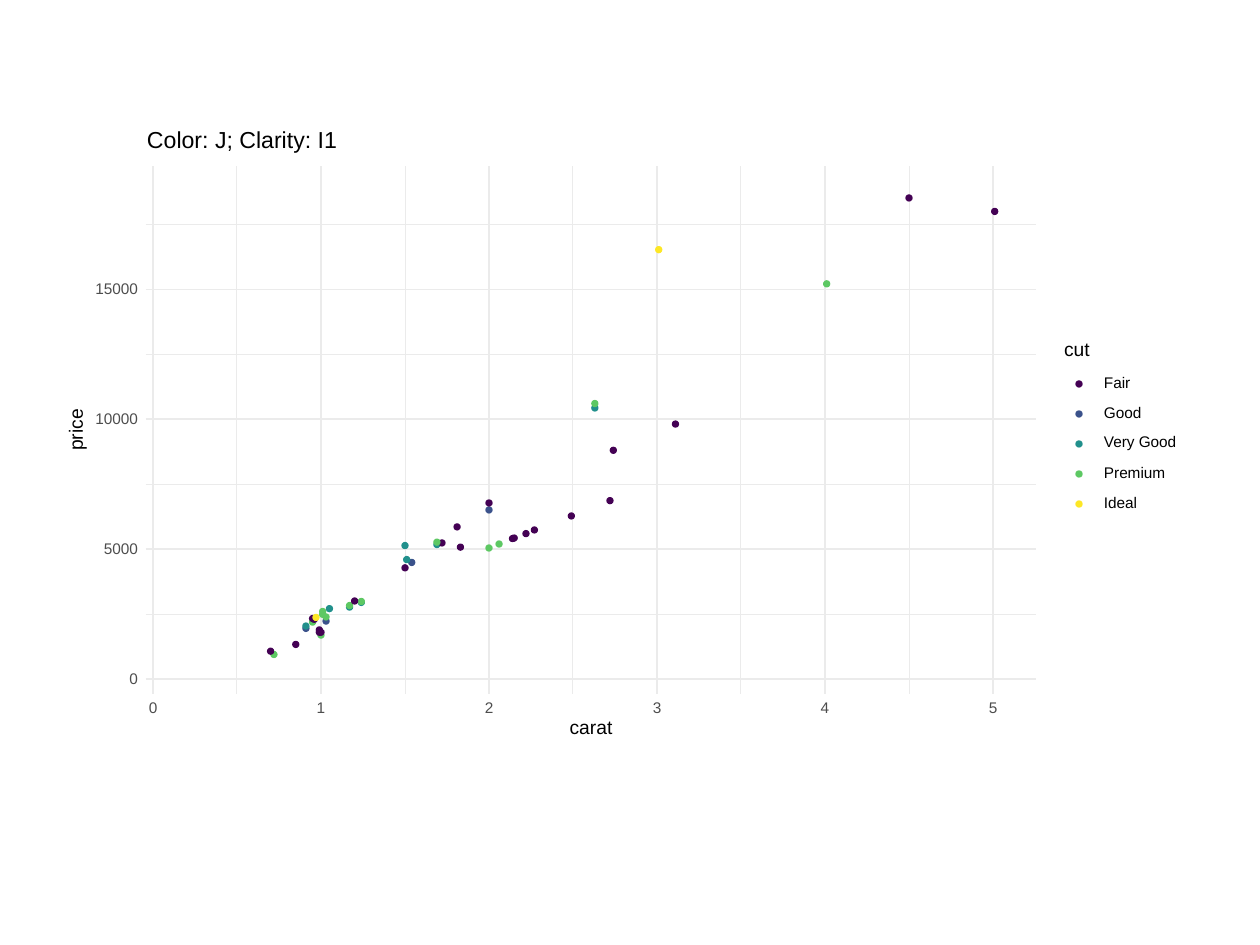
from lxml import etree
from pptx import Presentation
from pptx.dml.color import RGBColor
from pptx.enum.shapes import MSO_CONNECTOR, MSO_SHAPE
from pptx.enum.text import MSO_ANCHOR, PP_ALIGN
from pptx.oxml.ns import qn
from pptx.util import Emu, Pt

LINE, OVAL, RECT = MSO_CONNECTOR.STRAIGHT, MSO_SHAPE.OVAL, MSO_SHAPE.RECTANGLE
MIDDLE = MSO_ANCHOR.MIDDLE
LEFT, CENTER, RIGHT = PP_ALIGN.LEFT, PP_ALIGN.CENTER, PP_ALIGN.RIGHT

# Content
FONT = "Arial"
BLACK, GREY, GRID, WHITE = "000000", "4D4D4D", "EBEBEB", "FFFFFF"
TITLE = "Color: J; Clarity: I1"
CUT_COLORS = {"Fair": "440154", "Good": "3B528B", "Very Good": "21908C",
              "Premium": "5DC863", "Ideal": "FDE725"}
# cut: label width, centre correction for letters with descenders
LEGEND = [("Fair", 30, 0), ("Good", 42, 0), ("Very Good", 77, -1),
          ("Premium", 66, 0), ("Ideal", 38, 0)]
# carat, price, cut, from back to front
DIAMONDS = [
    (1.17, 2770, "Very Good"), (1.17, 2830, "Premium"), (1.24, 2950, "Very Good"),
    (1.24, 2985, "Premium"), (1.2, 3005, "Fair"), (1.5, 4280, "Fair"),
    (1.54, 4490, "Good"), (1.51, 4600, "Very Good"), (2, 5045, "Premium"),
    (1.83, 5080, "Fair"), (1.5, 5140, "Very Good"), (1.69, 5180, "Very Good"),
    (2.06, 5200, "Premium"), (1.72, 5240, "Fair"), (1.69, 5270, "Premium"),
    (2.14, 5410, "Fair"), (2.15, 5430, "Fair"), (2.22, 5600, "Fair"),
    (2.27, 5740, "Fair"), (1.81, 5860, "Fair"), (2.49, 6280, "Fair"),
    (2, 6510, "Good"), (2, 6780, "Fair"), (2.72, 6870, "Fair"),
    (2.74, 8810, "Fair"), (3.11, 9820, "Fair"), (2.63, 10440, "Very Good"),
    (2.63, 10610, "Premium"), (4.01, 15220, "Premium"), (3.01, 16540, "Ideal"),
    (5.01, 18010, "Fair"), (4.5, 18530, "Fair"), (0.72, 945, "Premium"),
    (0.7, 1070, "Fair"), (0.85, 1330, "Fair"), (1, 1690, "Premium"),
    (1, 1800, "Fair"), (0.99, 1800, "Fair"), (0.99, 1890, "Fair"),
    (0.91, 1950, "Good"), (0.91, 2040, "Very Good"), (0.95, 2190, "Premium"),
    (1.03, 2230, "Good"), (0.96, 2300, "Fair"), (0.95, 2330, "Fair"),
    (0.97, 2370, "Ideal"), (1.03, 2390, "Premium"), (1.01, 2490, "Premium"),
    (1.01, 2600, "Premium"), (1.05, 2710, "Very Good"),
]
CARAT_TICKS = range(6)
PRICE_TICKS = range(0, 15001, 5000)

# Layout in pixels
PX = 914400 / 126
PLOT_LEFT, PLOT_TOP, PLOT_RIGHT, PLOT_BOTTOM = 146, 166, 1036, 694
CARAT_ZERO, CARAT_STEP = 153, 168
PRICE_ZERO, PRICE_STEP = 679, 129.8
DOT = 6
LABEL_HEIGHT, DIGIT_WIDTH = 11, 9
LEGEND_DOT_X, LEGEND_TEXT_X, LEGEND_Y, LEGEND_STEP = 1079, 1104, 384, 30

prs = Presentation()
prs.slide_width, prs.slide_height = Emu(9144000), Emu(6858000)
slide = prs.slides.add_slide(prs.slide_layouts[6])


def px(value):
    return Emu(round(value * PX))


def rgb(color):
    return RGBColor.from_string(color)


def carat_x(carat):
    return CARAT_ZERO + carat * CARAT_STEP


def price_y(price):
    return PRICE_ZERO - price / 5000 * PRICE_STEP


def filled(kind, x, y, w, h, color):
    shape = slide.shapes.add_shape(kind, px(x), px(y), px(w), px(h))
    shape.shadow.inherit = False
    shape.fill.solid()
    shape.fill.fore_color.rgb = rgb(color)
    shape.line.color.rgb = rgb(color)
    shape.line.width = Pt(0.75)


def dot(x, y, cut):
    filled(OVAL, x - DOT / 2, y - DOT / 2, DOT, DOT, CUT_COLORS[cut])


def grid_line(x1, y1, x2, y2, weight):
    line = slide.shapes.add_connector(LINE, px(x1), px(y1), px(x2), px(y2))
    line.line.color.rgb = rgb(GRID)
    line.line.width = Pt(weight)
    etree.SubElement(line._element.spPr, qn("a:effectLst"))


def grid(carats, prices, weight):
    for price in prices:
        grid_line(PLOT_LEFT, price_y(price), PLOT_RIGHT, price_y(price), weight)
    for carat in carats:
        grid_line(carat_x(carat), PLOT_BOTTOM, carat_x(carat), PLOT_TOP, weight)


def text(words, x, y, w, h, size, color=BLACK, align=LEFT, rotation=0):
    box = slide.shapes.add_textbox(px(x), px(y), px(w), px(h))
    box.rotation = rotation
    frame = box.text_frame
    frame.margin_left = frame.margin_right = frame.margin_top = frame.margin_bottom = 0
    frame.word_wrap = False
    frame.vertical_anchor = MIDDLE
    paragraph = frame.paragraphs[0]
    paragraph.alignment = align
    paragraph.line_spacing = Pt(size)
    run = paragraph.add_run()
    run.text = words
    run.font.name = FONT
    run.font.size = Pt(size)
    run.font.color.rgb = rgb(color)


# Panel and grid, minor lines first
filled(RECT, 63, 126, 1134, 624, WHITE)
grid([tick + 0.5 for tick in CARAT_TICKS[:-1]],
     [tick + 2500 for tick in PRICE_TICKS], 0.53)
grid(CARAT_TICKS, PRICE_TICKS, 1.07)

# Diamonds
for carat, price, cut in DIAMONDS:
    dot(carat_x(carat), price_y(price), cut)

# Axis labels
for price in PRICE_TICKS:
    width = DIGIT_WIDTH * len(str(price))
    text(str(price), 138 - width, price_y(price) - 5, width, LABEL_HEIGHT,
         8.8, GREY, RIGHT)
for carat in CARAT_TICKS:
    text(str(carat), carat_x(carat) - DIGIT_WIDTH / 2, 703, DIGIT_WIDTH,
         LABEL_HEIGHT, 8.8, GREY, CENTER)
text("carat", 568, 722, 46, 14, 11, align=CENTER)
text("price", 54, 421, 46, 18, 11, align=CENTER, rotation=270)

# Legend
text("cut", 1064, 344, 30, 14, 11)
for row, (cut, width, shift) in enumerate(LEGEND):
    y = LEGEND_Y + row * LEGEND_STEP
    dot(LEGEND_DOT_X, y, cut)
    text(cut, LEGEND_TEXT_X, y - LABEL_HEIGHT / 2 + shift, width, LABEL_HEIGHT, 8.8)

# Title
text(TITLE, 147, 131, 194, 21, 13.2)

prs.save("out.pptx")
